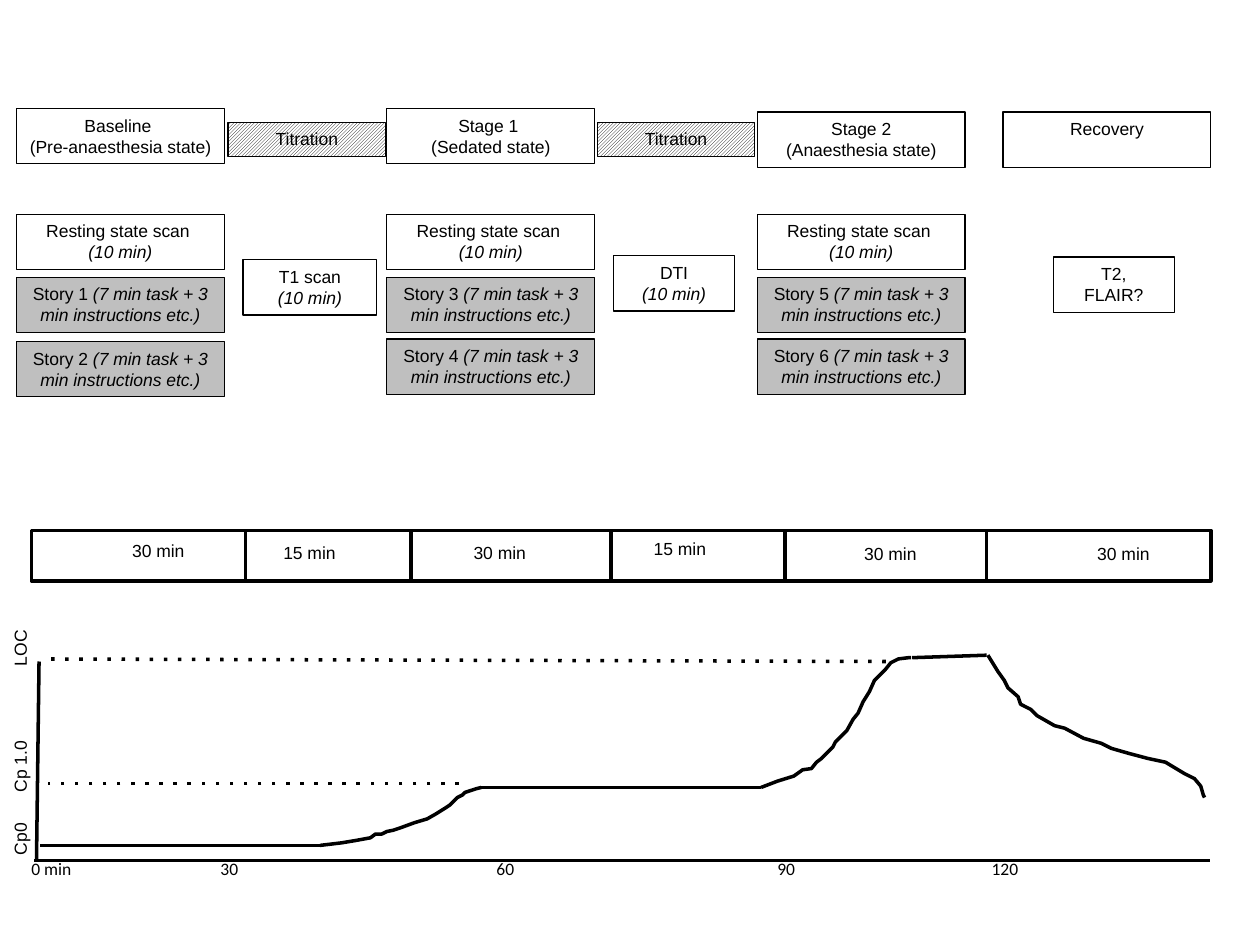
from dataclasses import dataclass

from lxml import etree
from pptx import Presentation
from pptx.dml.color import RGBColor
from pptx.enum.dml import MSO_LINE, MSO_PATTERN
from pptx.enum.shapes import MSO_CONNECTOR, MSO_SHAPE
from pptx.enum.text import MSO_ANCHOR, MSO_AUTO_SIZE, PP_ALIGN
from pptx.oxml.ns import qn
from pptx.util import Inches, Pt


@dataclass(frozen=True)
class Theme:
    ink: RGBColor = RGBColor(0, 0, 0)
    paper: RGBColor = RGBColor(255, 255, 255)
    task: RGBColor = RGBColor(0xBF, 0xBF, 0xBF)
    font: str = "Arial"
    axis_font: str = "Calibri"
    size: Pt = Pt(10)
    thin: Pt = Pt(0.75)
    thick: Pt = Pt(2)


THEME = Theme()
BOX_W, BOX_H = 1.65, 0.44
COLUMNS = (0.13, 3.07, 6.01)  # baseline, stage 1, stage 2
BAR_LEFT, BAR_TOP, BAR_W, BAR_H = 0.25, 4.21, 9.36, 0.4
CURVE_RISE_1 = [
    (2.54, 6.71), (2.71, 6.69), (2.83, 6.67), (2.94, 6.65), (2.98, 6.62), (3.03, 6.62),
    (3.07, 6.6), (3.12, 6.59), (3.18, 6.57), (3.29, 6.53), (3.39, 6.5), (3.46, 6.46),
    (3.54, 6.41), (3.57, 6.39), (3.61, 6.35), (3.63, 6.33), (3.67, 6.31), (3.69, 6.29),
    (3.78, 6.26), (3.82, 6.25)]
CURVE_RISE_2 = [
    (6.04, 6.25), (6.17, 6.2), (6.3, 6.16), (6.37, 6.11), (6.44, 6.1), (6.48, 6.05),
    (6.52, 6.02), (6.61, 5.93), (6.63, 5.89), (6.72, 5.8), (6.77, 5.71), (6.81, 5.66),
    (6.85, 5.57), (6.9, 5.49), (6.94, 5.4), (7.03, 5.31), (7.07, 5.26), (7.13, 5.23),
    (7.21, 5.22), (7.23, 5.22)]
CURVE_FALL = [
    (7.84, 5.2), (7.92, 5.33), (7.97, 5.4), (8, 5.46), (8.08, 5.53), (8.1, 5.59),
    (8.18, 5.63), (8.23, 5.68), (8.37, 5.76), (8.45, 5.78), (8.6, 5.86), (8.74, 5.9),
    (8.82, 5.94), (8.96, 5.98), (9.11, 6.02), (9.25, 6.05), (9.4, 6.14), (9.48, 6.18),
    (9.53, 6.24), (9.55, 6.31), (9.56, 6.33)]


def add_run(p, text, italic=False, font=THEME.font):
    r = p.add_run()
    r.text = text
    r.font.name, r.font.size = font, THEME.size
    r.font.color.rgb = THEME.ink
    if italic:
        r.font.italic = True


def add_box(s, left, top, width, height, lines=(), fill=None, weight=THEME.thin):
    """Rectangle; each line is a list of (text, italic) runs."""
    sp = s.shapes.add_shape(MSO_SHAPE.RECTANGLE, Inches(left), Inches(top),
                            Inches(width), Inches(height))
    sp.shadow.inherit = False
    sp.line.color.rgb, sp.line.width = THEME.ink, weight
    if fill is None:
        sp.fill.background()
    else:
        sp.fill.solid()
        sp.fill.fore_color.rgb = fill
    tf = sp.text_frame
    tf.word_wrap = True
    tf.vertical_anchor = MSO_ANCHOR.TOP
    for i, runs in enumerate(lines):
        p = tf.add_paragraph() if i else tf.paragraphs[0]
        p.alignment = PP_ALIGN.CENTER
        for text, italic in runs:
            add_run(p, text, italic)
    return sp


def add_titration(s, left):
    sp = add_box(s, left, 0.97, 1.25, 0.27, [[("Titration", False)]])
    sp.fill.patterned()
    sp.fill.pattern = MSO_PATTERN.LIGHT_UPWARD_DIAGONAL
    sp.fill.fore_color.rgb, sp.fill.back_color.rgb = THEME.ink, THEME.paper


def add_label(s, left, top, width, height, text, wrap=True, font=THEME.font, tabs=()):
    sp = s.shapes.add_textbox(Inches(left), Inches(top), Inches(width), Inches(height))
    tf = sp.text_frame
    tf.word_wrap = wrap
    tf.auto_size = MSO_AUTO_SIZE.SHAPE_TO_FIT_TEXT
    p = tf.paragraphs[0]
    add_run(p, text, font=font)
    if tabs:
        tab_list = etree.SubElement(p._p.get_or_add_pPr(), qn("a:tabLst"))
        for pos in tabs:
            etree.SubElement(tab_list, qn("a:tab"), pos=str(Inches(pos)), algn="l")
    return sp


def add_line(s, x1, y1, x2, y2, dotted=False):
    cx = s.shapes.add_connector(MSO_CONNECTOR.STRAIGHT, Inches(x1), Inches(y1),
                                Inches(x2), Inches(y2))
    cx.line.color.rgb, cx.line.width = THEME.ink, THEME.thick
    if dotted:
        cx.line.dash_style = MSO_LINE.ROUND_DOT
        cx._element.spPr.find(".//" + qn("a:prstDash")).set("val", "dot")
    etree.SubElement(cx._element.spPr, qn("a:effectLst"))


def add_curve(s, points):
    (x0, y0), *rest = [(Inches(x), Inches(y)) for x, y in points]
    builder = s.shapes.build_freeform(x0, y0)
    builder.add_line_segments(rest, close=False)
    sp = builder.convert_to_shape()
    sp.shadow.inherit = False
    sp.fill.background()
    sp.line.color.rgb, sp.line.width = THEME.ink, THEME.thick


def add_stages(s):
    # Stage headings
    headings = (("Baseline ", "(Pre-anaesthesia state)", 0.86),
                ("Stage 1 ", "(Sedated state)", 0.86),
                ("Stage 2", "(Anaesthesia state)", 0.89))
    for left, (name, state, top) in zip(COLUMNS, headings):
        add_box(s, left, top, BOX_W, BOX_H, [[(name, False)], [(state, False)]])
    add_box(s, 7.96, 0.89, BOX_W, BOX_H, [[("Recovery", False)]])
    for left in (1.81, 4.74):
        add_titration(s, left)

    # Scans and story tasks in each stage
    for i, left in enumerate(COLUMNS):
        add_box(s, left, 1.7, BOX_W, BOX_H,
                [[("Resting state scan ", False)], [("(10 min)", True)]])
        for j, top in enumerate((2.2, 2.69 if i else 2.71)):
            add_box(s, left, top, BOX_W, BOX_H,
                    [[(f"Story {2 * i + j + 1} ", False),
                      ("(7 min task + 3 min instructions etc.)", True)]], THEME.task)

    # Scans between stages
    for left, top, width, first, second, italic in (
            (1.93, 2.06, 1.06, "T1 scan", "(10 min)", True),
            (4.87, 2.03, 0.96, "DTI", "(10 min)", True),
            (8.36, 2.04, 0.96, "T2,", "FLAIR?", False)):
        add_box(s, left, top, width, BOX_H, [[(first, False)], [(second, italic)]],
                THEME.paper)


def add_duration_bar(s):
    add_box(s, BAR_LEFT, BAR_TOP, BAR_W, BAR_H, weight=THEME.thick)
    for x in (1.95, 3.26, 4.85, 6.23, 7.83):
        add_line(s, x, BAR_TOP, x, BAR_TOP + BAR_H)
    for left, top in ((0.95, 4.24), (3.66, 4.25), (6.76, 4.26), (8.61, 4.26)):
        add_label(s, left, top, 0.62, 0.27, "30 min", wrap=False)
    for left, top in ((2.15, 4.25), (5.09, 4.22)):
        add_label(s, left, top, 0.96, 0.27, "15 min")


def add_concentration_plot(s):
    # Axes and their labels
    add_line(s, 9.6, 6.83, 0.27, 6.83)
    add_line(s, 0.31, 5.25, 0.29, 6.82)
    time = add_label(s, 0.13, 6.76, 9.34, 0.44, "0 min\t30\t60\t90\t120",
                     font=THEME.axis_font, tabs=(1.5, 3.69, 5.92, 7.62))
    time.text_frame.margin_left = Inches(0.12)
    level = add_label(s, -0.9, 5.69, 2.12, 0.27, "Cp0\tCp 1.0\tLOC", tabs=(0.5, 1.5))
    level.rotation = 270

    # Reference levels
    add_line(s, 7.03, 5.25, 0.34, 5.23, dotted=True)
    add_line(s, 3.64, 6.22, 0.38, 6.22, dotted=True)

    # Concentration over time: plateaus, then rises and fall
    for ends in ((2.54, 6.71, 0.32, 6.71), (6.04, 6.25, 3.82, 6.25),
                 (7.83, 5.2, 7.24, 5.22)):
        add_line(s, *ends)
    for points in (CURVE_RISE_1, CURVE_RISE_2, CURVE_FALL):
        add_curve(s, points)


def main():
    prs = Presentation()
    prs.slide_width, prs.slide_height = Inches(10), Inches(7.5)
    s = prs.slides.add_slide(prs.slide_layouts[6])
    add_stages(s)
    add_duration_bar(s)
    add_concentration_plot(s)
    prs.save("out.pptx")


if __name__ == "__main__":
    main()
